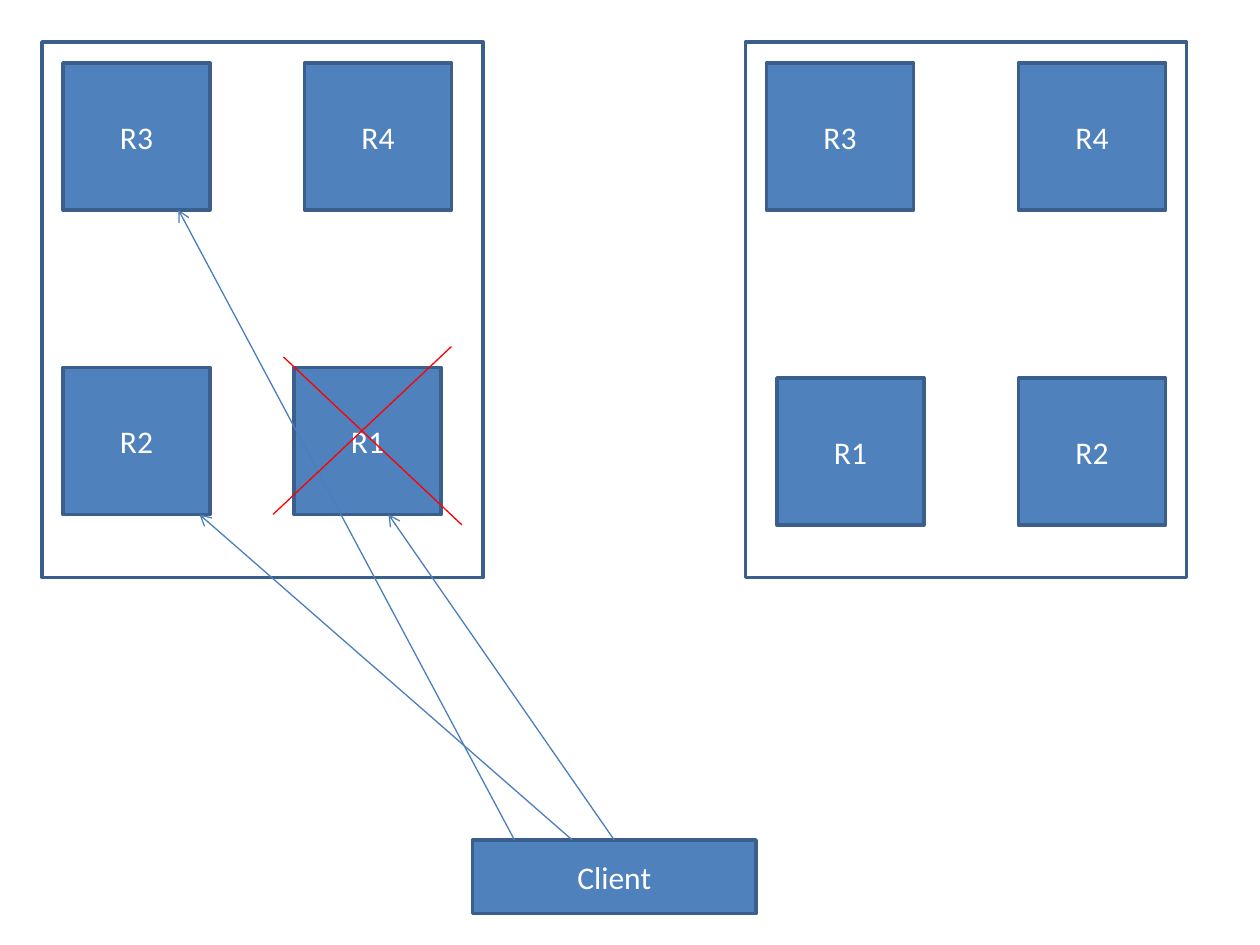
from lxml import etree
from pptx import Presentation
from pptx.dml.color import RGBColor
from pptx.enum import shapes, text
from pptx.oxml import ns
from pptx.util import Inches, Pt

WHITE = RGBColor(0xFF, 0xFF, 0xFF)
BLUE = RGBColor(0x4F, 0x81, 0xBD)
EDGE = RGBColor(0x3A, 0x5F, 0x8C)
LINK = RGBColor(0x4B, 0x7E, 0xBC)
RED = RGBColor(0xFF, 0x00, 0x00)

# Grid of 120 columns by 90 rows, twelve cells to the inch
COLS, ROWS = 120, 90
CELL = Inches(10) / COLS
NODE = 14       # side of a region square
TOP = 6         # row of the upper squares
DESK = 80       # row of the client box


def grid(*cells):
    return [round(n * CELL) for n in cells]


def box(slide, col, row, wide, high, fill=BLUE, label=None):
    shape = slide.shapes.add_shape(
        shapes.MSO_SHAPE.RECTANGLE, *grid(col, row, wide, high))
    shape.shadow.inherit = False
    shape.fill.solid()
    shape.fill.fore_color.rgb = fill
    shape.line.color.rgb = EDGE
    shape.line.width = Pt(2)
    if label:
        frame = shape.text_frame
        frame.vertical_anchor = text.MSO_ANCHOR.MIDDLE
        para = frame.paragraphs[0]
        para.text = label
        para.alignment = text.PP_ALIGN.CENTER
        para.font.name = "Calibri"
        para.font.size = Pt(18)
        para.font.color.rgb = WHITE


def line(slide, start, end, color, arrow=False):
    link = slide.shapes.add_connector(
        shapes.MSO_CONNECTOR.STRAIGHT, *grid(*start, *end))
    link.line.color.rgb = color
    link.line.width = Pt(0.75)
    if arrow:
        tail = etree.SubElement(link.line._get_or_add_ln(), ns.qn("a:tailEnd"))
        tail.set("type", "arrow")
    etree.SubElement(link._element.spPr, ns.qn("a:effectLst"))


def main():
    deck = Presentation()
    deck.slide_width, deck.slide_height = grid(COLS, ROWS)
    slide = deck.slides.add_slide(deck.slide_layouts[6])

    # Server frames
    for col in (4, 71):
        box(slide, col, 4, 42, 51, WHITE)

    # Regions on each server
    for label, col, row in (
            ("R3", 6, TOP), ("R4", 29, TOP), ("R2", 6, 35), ("R1", 28, 35),
            ("R3", 73, TOP), ("R4", 97, TOP), ("R1", 74, 36), ("R2", 97, 36)):
        box(slide, col, row, NODE, NODE, label=label)

    # Client and its requests
    box(slide, 45, DESK, 27, 7, label="Client")
    for col, end in ((58.5, (37, 49)), (54.5, (19, 49)), (49, (17, 20))):
        line(slide, (col, DESK), end, LINK, arrow=True)

    # Cross over the failed region
    line(slide, (27, 34), (44, 50), RED)
    line(slide, (43, 33), (26, 49), RED)

    deck.save("out.pptx")


main()
